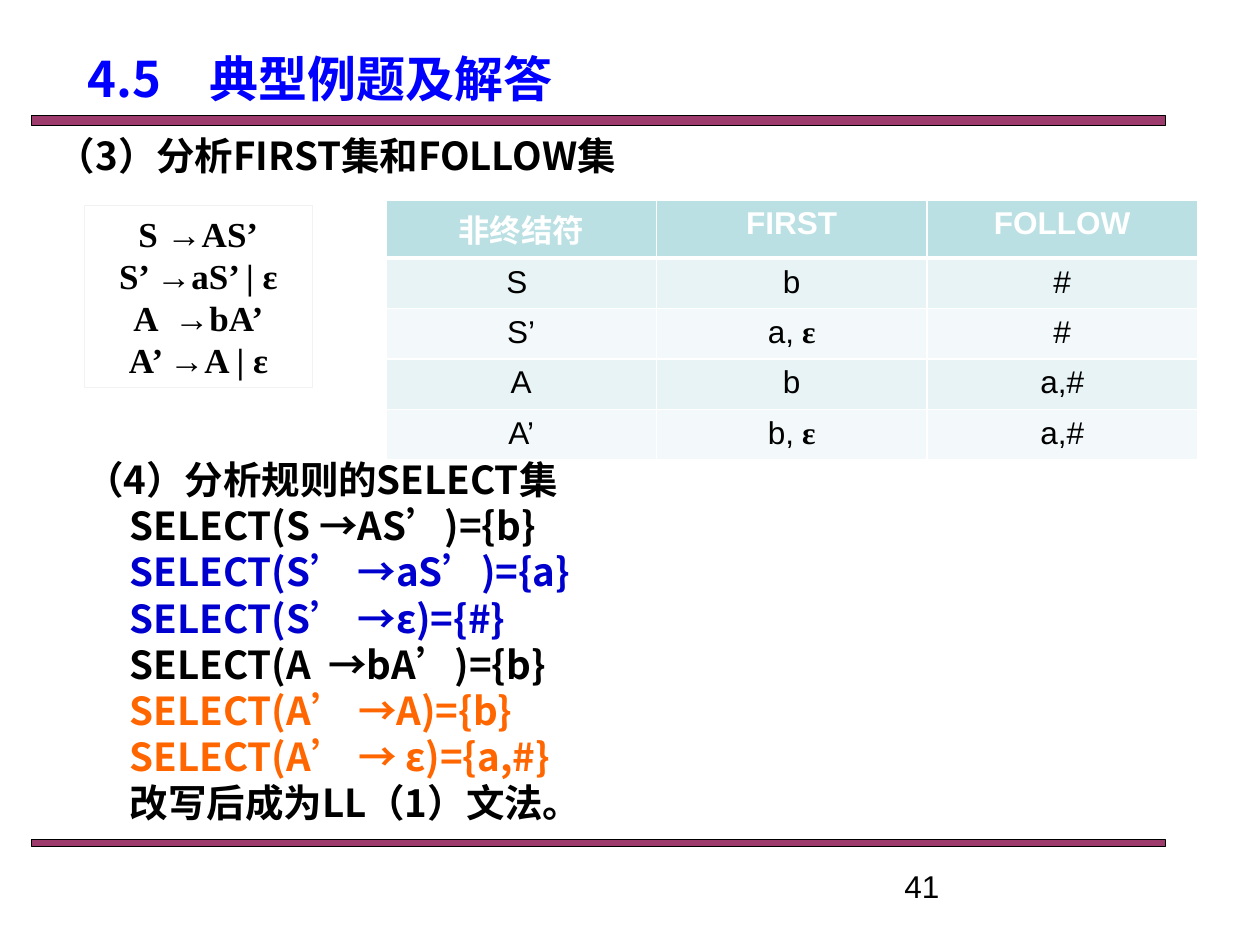
from pptx import Presentation
from pptx.dml.color import RGBColor
from pptx.enum import shapes, text
from pptx.oxml import parse_xml
from pptx.oxml.ns import nsdecls, qn
from pptx.util import Cm, Pt

COLORS = {
    "black": "000000", "white": "FFFFFF", "title": "0000FF", "blue": "0000CE",
    "orange": "FF6600", "bar": "9D3C6C", "frame": "F2F2F2",
    "head": "BBE0E3", "odd": "E7F3F4", "even": "F3F9FA",
}
CJK, SANS, SERIF = "Noto Sans CJK SC", "Arial", "Times New Roman"


def rgb(name):
    return RGBColor.from_string(COLORS[name])


def add_run(p, content, size=22, font=CJK, color="black", bold=True):
    r = p.add_run()
    r.text = content
    r.font.size, r.font.bold, r.font.name = Pt(size), bold, font
    r.font.color.rgb = rgb(color)
    ea = parse_xml(f'<a:ea {nsdecls("a")} typeface="{CJK}"/>')
    r.font._element.find(qn("a:latin")).addnext(ea)
    return r


class Deck:
    """Holds the presentation style and the current slide."""

    def __init__(self, width, height):
        self.prs = Presentation()
        self.prs.slide_width, self.prs.slide_height = Cm(width), Cm(height)
        self.s = self.prs.slides.add_slide(self.prs.slide_layouts[5])

    def fill_text(self, tf, lines, align=None, anchor=text.MSO_ANCHOR.TOP, spacing=None, **fmt):
        """Each line is (content, format overrides, left indent in cm)."""
        tf.word_wrap = True
        tf.auto_size = text.MSO_AUTO_SIZE.NONE
        tf.vertical_anchor = anchor
        for i, (content, extra, indent) in enumerate(lines):
            p = tf.add_paragraph() if i else tf.paragraphs[0]
            p.alignment = align
            if spacing:
                p.line_spacing = spacing
            if indent:
                p._p.get_or_add_pPr().set("marL", str(Cm(indent)))
            add_run(p, content, **{**fmt, **extra})

    def title(self, content, box, **fmt):
        sp = self.s.shapes.title
        sp.left, sp.top, sp.width, sp.height = map(Cm, box)
        self.fill_text(sp.text_frame, [(content, {}, 0)], **fmt)

    def text(self, lines, box, **fmt):
        sp = self.s.shapes.add_textbox(*map(Cm, box))
        self.fill_text(sp.text_frame, lines, **fmt)

    def rect(self, box, fill=None, line="black"):
        sp = self.s.shapes.add_shape(shapes.MSO_SHAPE.RECTANGLE, *map(Cm, box))
        sp.shadow.inherit = False
        if fill:
            sp.fill.solid()
            sp.fill.fore_color.rgb = rgb(fill)
        else:
            sp.fill.background()
        sp.line.color.rgb, sp.line.width = rgb(line), Pt(0.75)
        return sp

    def table(self, rows, box):
        frame = self.s.shapes.add_table(len(rows), len(rows[0]), *map(Cm, box))
        for i, row in enumerate(rows):
            for j, content in enumerate(row):
                self.cell(frame.table.cell(i, j), content, i)

    def cell(self, cell, content, i):
        cell.fill.solid()
        cell.fill.fore_color.rgb = rgb("head" if i == 0 else "odd" if i % 2 else "even")
        p = cell.text_frame.paragraphs[0]
        p.alignment = text.PP_ALIGN.CENTER
        plain, epsilon, _ = content.partition(" ε")
        add_run(p, plain, size=18, font=SANS, color="black" if i else "white", bold=i == 0)
        if epsilon:
            add_run(p, epsilon, size=18, font=SERIF)
        # White borders, thicker under the header
        tc_pr = cell._tc.get_or_add_tcPr()
        for k, side in enumerate(("lnL", "lnR", "lnT", "lnB")):
            thick = (i == 0 and side == "lnB") or (i == 1 and side == "lnT")
            tc_pr.insert(k, parse_xml(
                f'<a:{side} {nsdecls("a")} w="{Pt(3 if thick else 1)}"><a:solidFill>'
                f'<a:srgbClr val="{COLORS["white"]}"/></a:solidFill></a:{side}>'))


def main():
    deck = Deck(25.4, 19.05)
    center = text.PP_ALIGN.CENTER

    # Rules above and below the content
    for top, height in ((2.33, 0.2), (16.93, 0.13)):
        deck.rect((0.64, top, 22.86, height), fill="bar")

    # Title and page number
    deck.title("4.5\u3000典型例题及解答".replace("\u3000", "　"), (-1.7, 0.85, 16.3, 1.48),
               size=28, color="title", align=center)
    deck.text([("41", {}, 0)], (17.98, 17.35, 5.93, 0.69), size=18, font=SANS, bold=False)

    # FIRST and FOLLOW sets
    deck.text([("（3）分析FIRST集和FOLLOW集", {}, 0)], (-3.38, 2.54, 20.32, 1.19), align=center)
    deck.table([
        ("非终结符", "FIRST", "FOLLOW"),
        ("S ", "b", "#"),
        ("S’", "a, ε", "#"),
        ("A", "b", "a,#"),
        ("A’", "b, ε", "a,#"),
    ], (7.78, 4.03, 16.36, 5.08))

    # Grammar rules
    grammar = deck.rect((1.7, 4.14, 4.6, 3.68), line="frame")
    rules = ("S →AS’", "S’ →aS’ | ε", "A  →bA’", "A’ →A | ε")
    deck.fill_text(grammar.text_frame, [(rule, {}, 0) for rule in rules], align=center,
                   anchor=text.MSO_ANCHOR.MIDDLE, size=20, font=SERIF)

    # SELECT sets
    selects = (
        ("SELECT(S →AS’)={b}", "black"),
        ("SELECT(S’ →aS’)={a}", "blue"),
        ("SELECT(S’ →ε)={#}", "blue"),
        ("SELECT(A  →bA’)={b}", "black"),
        ("SELECT(A’ →A)={b}", "orange"),
        ("SELECT(A’ → ε)={a,#}", "orange"),
        ("改写后成为LL（1）文法。", "black"),
    )
    lines = [("（4）分析规则的SELECT集", {}, 0)]
    lines += [(content, {"color": color}, 0.9) for content, color in selects]
    deck.text(lines, (1.47, 9.07, 19.25, 7.77))

    deck.prs.save("out.pptx")


if __name__ == "__main__":
    main()
